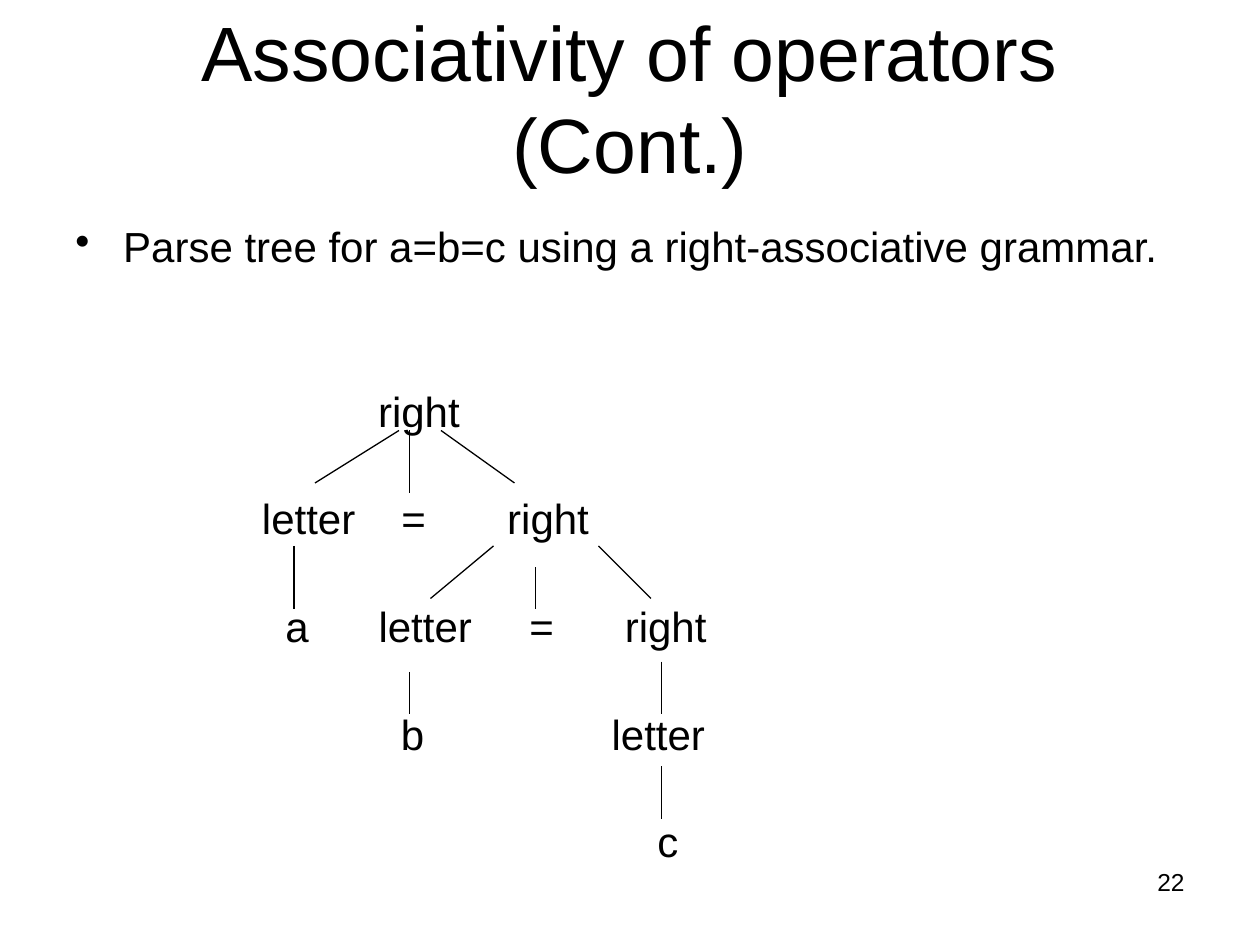
from dataclasses import dataclass
from typing import Any

from lxml import etree
from pptx import Presentation
from pptx import util as u
from pptx.dml.color import RGBColor
from pptx.enum import shapes, text
from pptx.oxml import ns

ALIGN = text.PP_ALIGN
ANCHOR = text.MSO_ANCHOR


def color(code):
    return RGBColor.from_string(code)


@dataclass
class TreeSlide:
    deck: Any
    slide: Any
    columns: int = 120
    rows: int = 90
    font: str = "Arial"
    ink: str = "000000"

    def x(self, column):
        return round(self.deck.slide_width * column / self.columns)

    def y(self, row):
        return round(self.deck.slide_height * row / self.rows)

    def label(self, words, left, top, width, height, size=24,
              align=ALIGN.CENTER, anchor=ANCHOR.TOP):
        box = self.slide.shapes.add_textbox(
            self.x(left), self.y(top), self.x(width), self.y(height))
        frame = box.text_frame
        frame.text = words
        frame.word_wrap = True
        frame.vertical_anchor = anchor
        paragraph = frame.paragraphs[0]
        paragraph.alignment = align
        for run in paragraph.runs:
            run.font.name = self.font
            run.font.size = u.Pt(size)
            run.font.color.rgb = color(self.ink)
        return paragraph

    def bullet(self, words, left, top, width, height):
        paragraph = self.label(words, left, top, width, height, align=ALIGN.LEFT)
        paragraph.line_spacing = 0.9
        paragraph.space_before = u.Pt(4.8)
        properties = paragraph._p.get_or_add_pPr()
        indent = u.Inches(0.38)
        properties.set("marL", str(indent))
        properties.set("indent", str(-indent))
        etree.SubElement(properties, ns.qn("a:buChar")).set("char", "•")

    def node(self, symbol, center, level):
        width, height = 12, 6
        middle = 39.1 + 10.25 * level
        self.label(symbol, center - width / 2, middle - height / 2,
                   width, height, anchor=ANCHOR.MIDDLE)

    def branch(self, x1, y1, x2, y2):
        line = self.slide.shapes.add_connector(
            shapes.MSO_CONNECTOR.STRAIGHT,
            self.x(x1), self.y(y1), self.x(x2), self.y(y2))
        line.line.color.rgb = color(self.ink)
        line.line.width = u.Pt(0.75)
        etree.SubElement(line._element.spPr, ns.qn("a:effectLst"))


LEVELS = [
    [("right", 39.9)],
    [("letter", 29.4), ("=", 39.4), ("right", 52.2)],
    [("a", 28.3), ("letter", 40.5), ("=", 51.6), ("right", 63.4)],
    [("b", 39.3), ("letter", 62.7)],
    [("c", 63.6)],
]

BRANCHES = [
    (38, 41, 30, 46), (39, 41, 39, 47), (42, 41, 49, 46),
    (28, 52, 28, 58), (47, 52, 41, 57), (51, 54, 51, 58), (57, 52, 62, 57),
    (39, 64, 39, 68), (63, 63, 63, 68),
    (63, 73, 63, 78),
]


def main():
    deck = Presentation()
    deck.slide_width, deck.slide_height = u.Inches(10), u.Inches(7.5)
    page = TreeSlide(deck, deck.slides.add_slide(deck.slide_layouts[6]))
    page.label("22", 86, 82, 28, 6.25, size=14, align=ALIGN.RIGHT)
    page.label("Associativity of operators (Cont.)", 6, 3.6, 108, 15,
               size=44, anchor=ANCHOR.BOTTOM)
    page.bullet("Parse tree for a=b=c using a right-associative grammar.",
                6, 21, 108, 6)
    for level, nodes in enumerate(LEVELS):
        for symbol, center in nodes:
            page.node(symbol, center, level)
    for ends in BRANCHES:
        page.branch(*ends)
    deck.save("out.pptx")


if __name__ == "__main__":
    main()
